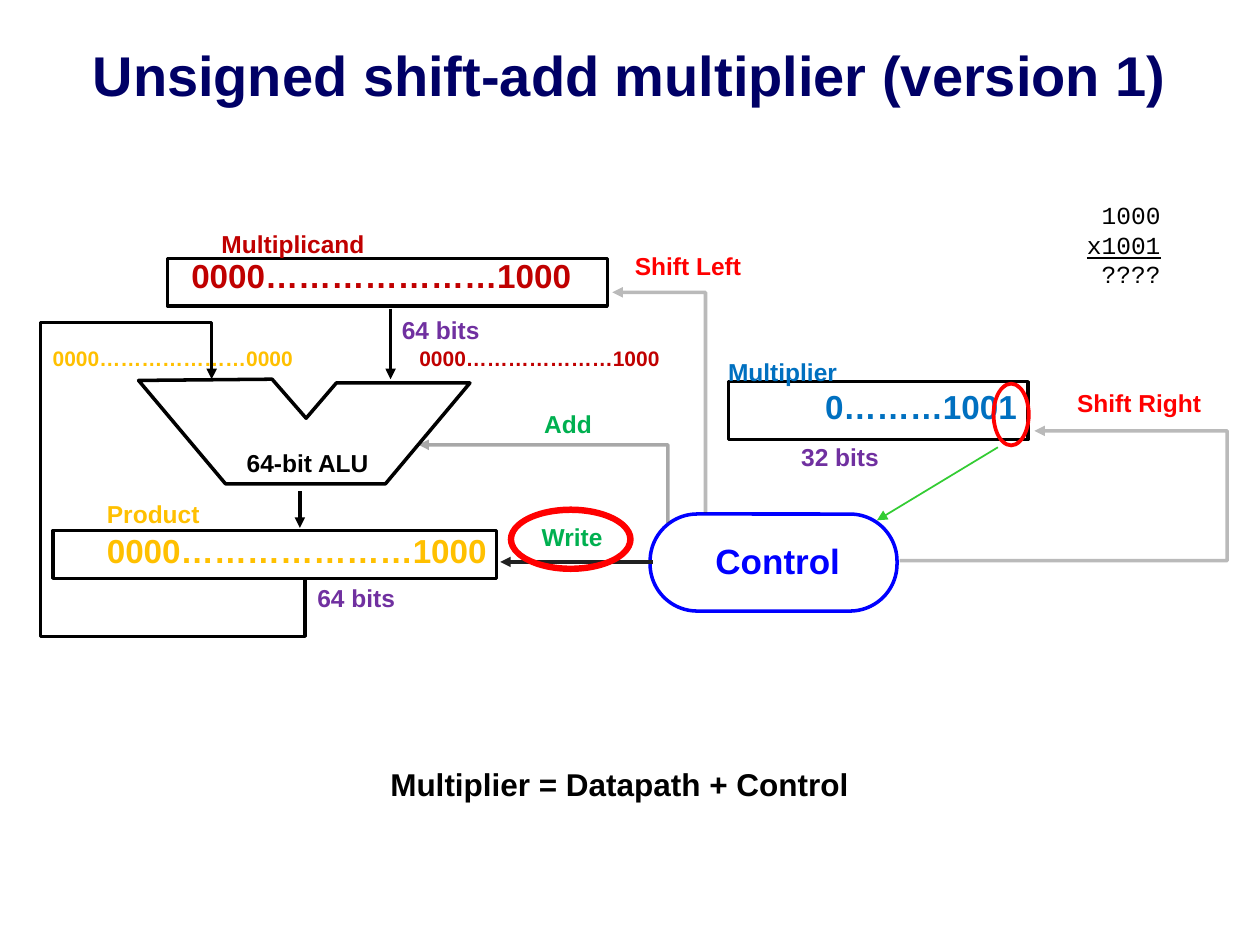
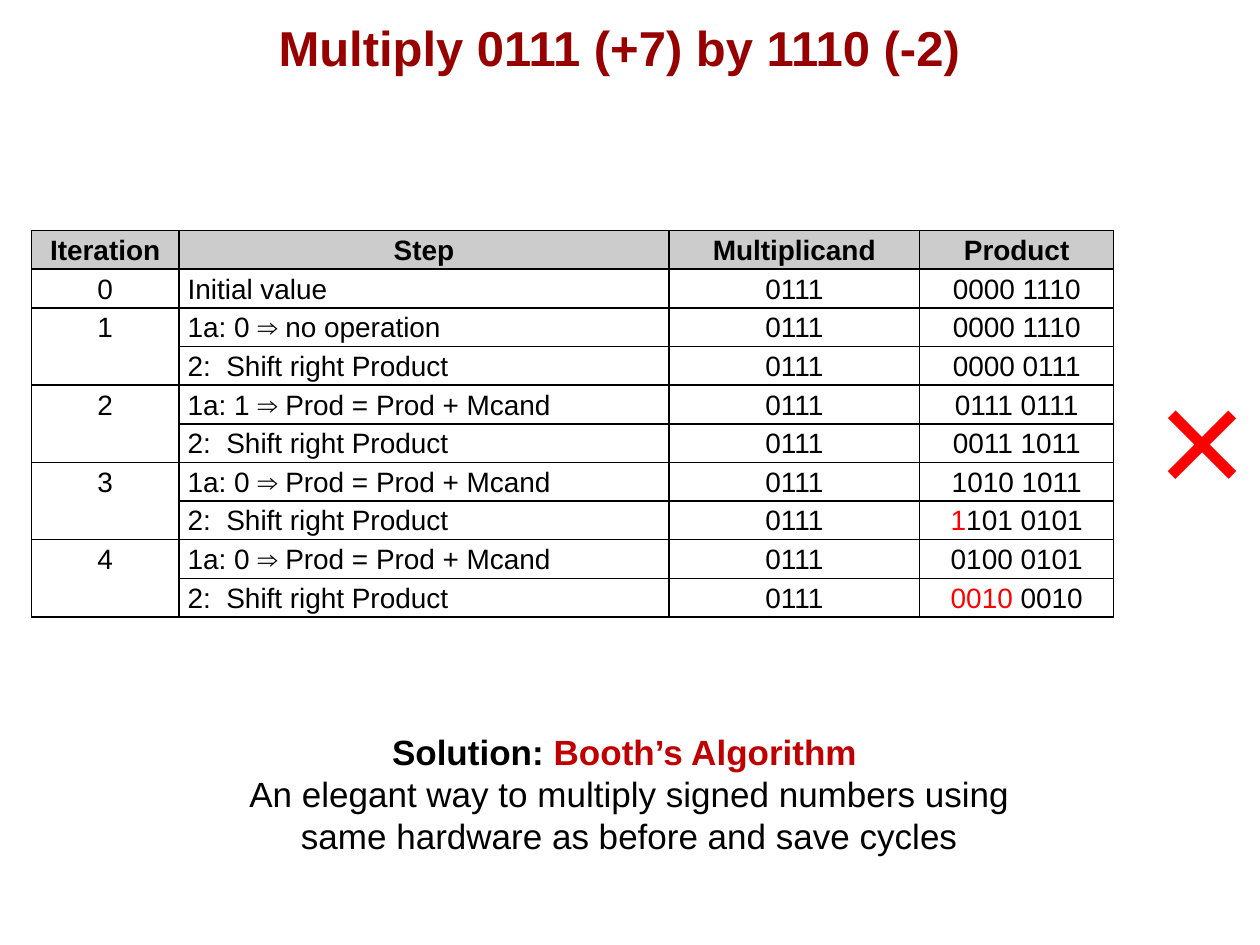
from lxml import etree
from pptx import Presentation
from pptx.dml.color import RGBColor
from pptx.enum.shapes import MSO_CONNECTOR, MSO_SHAPE
from pptx.enum.text import MSO_ANCHOR, PP_ALIGN
from pptx.oxml.ns import qn
from pptx.util import Inches, Pt

RECT, ROUND, DONUT = MSO_SHAPE.RECTANGLE, MSO_SHAPE.ROUNDED_RECTANGLE, MSO_SHAPE.DONUT
STRAIGHT = MSO_CONNECTOR.STRAIGHT
LEFT, CENTER, RIGHT = PP_ALIGN.LEFT, PP_ALIGN.CENTER, PP_ALIGN.RIGHT
TOP, MIDDLE = MSO_ANCHOR.TOP, MSO_ANCHOR.MIDDLE

W, H = 10, 7.5
FONT, MONO = "Arial", "Courier New"
COLORS = {
    "black": "000000", "navy": "000066", "maroon": "980000", "crimson": "C00000",
    "red": "FF0000", "green": "00B050", "lime": "33CC33", "blue": "0000FF",
    "sky": "0070C0", "purple": "7030A0", "gold": "FFC000", "wire": "212121",
    "header": "CCCCCC",
}

REGISTERS = [
    (0.42, 4.21, 3.52, 0.38),
    (5.78, 3.03, 2.38, 0.46),
    (1.33, 2.05, 3.49, 0.38),
]
CONTROL = (5.16, 4.08, 1.96, 0.77)
ALU = [(1.1, 3.02), (1.79, 3.84), (3.06, 3.84), (3.73, 3.04),
       (2.67, 3.04), (2.43, 3.32), (2.16, 3.01)]
WIRES = [
    ([(7.14, 4.45), (9.74, 4.45), (9.74, 3.42), (8.21, 3.42)], "wire", 2, 31),
    ([(5.6, 4.07), (5.6, 2.32), (4.86, 2.32)], "wire", 2, 31),
    ([(5.3, 4.15), (5.3, 3.53), (3.32, 3.53)], "wire", 2, 39),
    ([(5.18, 4.46), (3.97, 4.46)], "wire", 2, 100),
    ([(2.38, 3.9), (2.38, 4.19)], "black", 2, 100),
    ([(2.42, 4.6), (2.42, 5.05), (0.32, 5.05), (0.32, 2.56), (1.68, 2.56), (1.68, 3.01)],
     "black", 2, 100),
    ([(3.1, 2.45), (3.1, 3.01)], "black", 2, 100),
    ([(7.92, 3.55), (6.96, 4.13)], "lime", 1, 100),
]
RINGS = [(7.87, 3.03, 0.31, 0.52), (4.03, 4.02, 1, 0.52)]
LABELS = [
    ("Product", (0.75, 3.91, 3.08, 0.33), 14, "gold", 1),
    ("Multiplier", (5.68, 2.69, 1.5, 0.39), 14, "sky", 1.4),
    ("Multiplicand", (1.66, 1.82, 1.34, 0.28), 14, "crimson", 0.75),
    ("64-bit ALU", (1.86, 3.51, 1.56, 0.33), 14, "black", 1),
    ("Shift Left", (4.94, 1.94, 1.05, 0.33), 14, "red", 1),
    ("Shift Right", (8.45, 3.03, 1.19, 0.33), 14, "red", 1),
    ("Write", (4.2, 4.09, 0.69, 0.33), 14, "green", 1),
    ("Add", (4.22, 3.2, 0.58, 0.33), 14, "green", 1),
    ("Control", (5.58, 4.23, 1.26, 0.43), 20, "blue", 1),
    ("32 bits", (6.26, 3.46, 0.82, 0.33), 14, "purple", 1),
    ("64 bits", (3.09, 2.45, 1.15, 0.33), 14, "purple", 1),
    ("64 bits", (2.42, 4.58, 1.25, 0.33), 14, "purple", 1),
    ("0000…………………1000", (1.42, 1.98, 3.43, 0.5), 19, "crimson", 1),
    ("0………1001", (6.45, 3.02, 1.8, 0.5), 19, "sky", 1),
    ("0000…………………1000", (0.75, 4.16, 3.43, 0.5), 19, "gold", 1),
    ("0000…………………1000", (3.23, 2.69, 2.26, 0.37), 12, "crimson", 1),
    ("0000…………………0000", (0.32, 2.69, 3.43, 0.37), 12, "gold", 1),
    ("Multiplier = Datapath + Control", (3, 6.02, 5.07, 0.4), 18, "black", 1),
]
EXAMPLE = ["1000", "x1001", "????"]

HEADERS = ["Iteration", "Step", "Multiplicand", "Product"]
COL_WIDTHS = [1.17, 3.89, 1.99, 1.54]
TABLE_AT, TABLE_HEIGHT = (0.25, 1.83), 3.07
SHIFT, ADD = "2:  Shift right Product", "Prod = Prod + Mcand"
MCAND = "0111"
ITERATIONS = [
    [("Initial value", "", "0000 1110")],
    [("1a: 0 ⇒ no operation", "", "0000 1110"), (SHIFT, "", "0000 0111")],
    [(f"1a: 1 ⇒ {ADD}", "", "0111 0111"), (SHIFT, "", "0011 1011")],
    [(f"1a: 0 ⇒ {ADD}", "", "1010 1011"), (SHIFT, "1", "101 0101")],
    [(f"1a: 0 ⇒ {ADD}", "", "0100 0101"), (SHIFT, "0010", " 0010")],
]
SOLUTION = [
    [("Solution: ", "black", True), ("Booth’s Algorithm ", "crimson", True)],
    [("An elegant way to multiply signed numbers using same hardware as before "
      "and save cycles", "black", False)],
]


def rgb(name):
    return RGBColor.from_string(COLORS[name])


def write(tf, paragraphs, size, align=LEFT, spacing=1, font=FONT):
    for i, runs in enumerate(paragraphs):
        p = tf.paragraphs[0] if i == 0 else tf.add_paragraph()
        p.alignment = align
        if spacing != 1:
            p.line_spacing = spacing
        for text, color, bold in runs:
            r = p.add_run()
            r.text = text
            r.font.name = font
            r.font.size = Pt(size)
            r.font.bold = bold
            r.font.color.rgb = rgb(color)


def add_text(s, box, paragraphs, size, align=LEFT, spacing=1, font=FONT, anchor=TOP):
    tf = s.shapes.add_textbox(*map(Inches, box)).text_frame
    tf.word_wrap = True
    tf.vertical_anchor = anchor
    if align == LEFT:
        tf.margin_right = 0
    write(tf, paragraphs, size, align, spacing, font)
    return tf


def add_title(s, text, box, size, color, anchor=TOP):
    return add_text(s, box, [[(text, color, True)]], size, CENTER, anchor=anchor)


def outline(sp, color, width):
    sp.fill.background()
    sp.line.color.rgb = rgb(color)
    sp.line.width = Pt(width)
    sp.shadow.inherit = False


def add_preset(s, kind, box, adj=None):
    sp = s.shapes.add_shape(kind, *map(Inches, box))
    sp.shadow.inherit = False
    if adj is not None:
        sp.adjustments[0] = adj
    return sp


def add_path(s, points, close):
    fb = s.shapes.build_freeform(*map(Inches, points[0]), scale=1.0)
    fb.add_line_segments([tuple(map(Inches, pt)) for pt in points[1:]], close=close)
    return fb.convert_to_shape()


def add_wire(s, points, color, width, opacity):
    if len(points) == 2:
        sp = s.shapes.add_connector(STRAIGHT, *[Inches(v) for pt in points for v in pt])
        sp.line.color.rgb = rgb(color)
        sp.line.width = Pt(width)
        etree.SubElement(sp._element.spPr, qn("a:effectLst"))
    else:
        sp = add_path(s, points, False)
        outline(sp, color, width)
    ln = sp.line._get_or_add_ln()
    if opacity < 100:
        alpha = etree.SubElement(ln.find(".//" + qn("a:srgbClr")), qn("a:alpha"))
        alpha.set("val", str(opacity * 1000))
    etree.SubElement(ln, qn("a:tailEnd")).set("type", "triangle")


def add_borders(cell):
    tcPr = cell._tc.get_or_add_tcPr()
    for side in "LRTB":
        ln = etree.SubElement(tcPr, qn(f"a:ln{side}"), w=str(Pt(1)))
        fill = etree.SubElement(ln, qn("a:solidFill"))
        etree.SubElement(fill, qn("a:srgbClr"), val=COLORS["black"])


def add_steps_table(s):
    rows = [[[(h, "black", True)] for h in HEADERS]]
    merges = []
    for n, steps in enumerate(ITERATIONS):
        if len(steps) > 1:
            merges.append((len(rows), len(rows) + len(steps) - 1))
        for k, (step, wrong, rest) in enumerate(steps):
            product = [(wrong, "red", False)] if wrong else []
            rows.append([
                [(str(n), "black", False)] if k == 0 else [],
                [(step, "black", False)],
                [(MCAND, "black", False)],
                product + [(rest, "black", False)],
            ])
    box = (*TABLE_AT, sum(COL_WIDTHS), TABLE_HEIGHT)
    table = s.shapes.add_table(len(rows), len(HEADERS), *map(Inches, box)).table
    table.first_row = table.horz_banding = False
    for col, width in zip(table.columns, COL_WIDTHS):
        col.width = Inches(width)
    for i, row in enumerate(rows):
        table.rows[i].height = Inches(TABLE_HEIGHT / len(rows))
        for j, runs in enumerate(row):
            cell = table.cell(i, j)
            cell.margin_left = cell.margin_right = Inches(0.07)
            cell.margin_top = cell.margin_bottom = 0
            add_borders(cell)
            if i == 0:
                cell.fill.solid()
                cell.fill.fore_color.rgb = rgb("header")
            else:
                cell.fill.background()
            write(cell.text_frame, [runs], 16, LEFT if i and j == 1 else CENTER, 1.15)
    for first, last in merges:
        table.cell(first, 0).merge(table.cell(last, 0))


def build_multiplier(s):
    tf = add_title(s, "Unsigned shift-add multiplier (version 1)", (0, 0.29, W, 0.59), 32, "navy")
    tf.margin_top = tf.margin_bottom = Inches(0.03)
    for box in REGISTERS:
        outline(add_preset(s, RECT, box), "black", 2)
    outline(add_preset(s, ROUND, CONTROL, 0.486), "blue", 2)
    for wire in WIRES:
        add_wire(s, *wire)
    outline(add_path(s, ALU, True), "black", 2)
    for text, box, size, color, spacing in LABELS:
        add_text(s, box, [[(text, color, True)]], size, spacing=spacing)
    for box in RINGS:
        sp = add_preset(s, DONUT, box, 0.099)
        sp.fill.solid()
        sp.fill.fore_color.rgb = rgb("red")
        sp.line.fill.background()
    tf = add_text(s, (8.31, 1.54, 1, 0.94), [[(line, "black", False)] for line in EXAMPLE],
                  14, RIGHT, font=MONO)
    tf.paragraphs[1].runs[0].font.underline = True


def build_signed_example(s):
    add_title(s, "Multiply 0111 (+7) by 1110 (-2)", (0, 0, 9.83, 0.75), 28, "maroon", MIDDLE)
    add_steps_table(s)
    add_text(s, (9.09, 2.67, 0.88, 1.58), [[("×", "red", False)]], 88)
    add_text(s, (1.62, 5.75, 6.75, 1.11), SOLUTION, 20, CENTER)


def main():
    prs = Presentation()
    prs.slide_width, prs.slide_height = Inches(W), Inches(H)
    for build in (build_multiplier, build_signed_example):
        build(prs.slides.add_slide(prs.slide_layouts[6]))
    prs.save("out.pptx")


if __name__ == "__main__":
    main()
